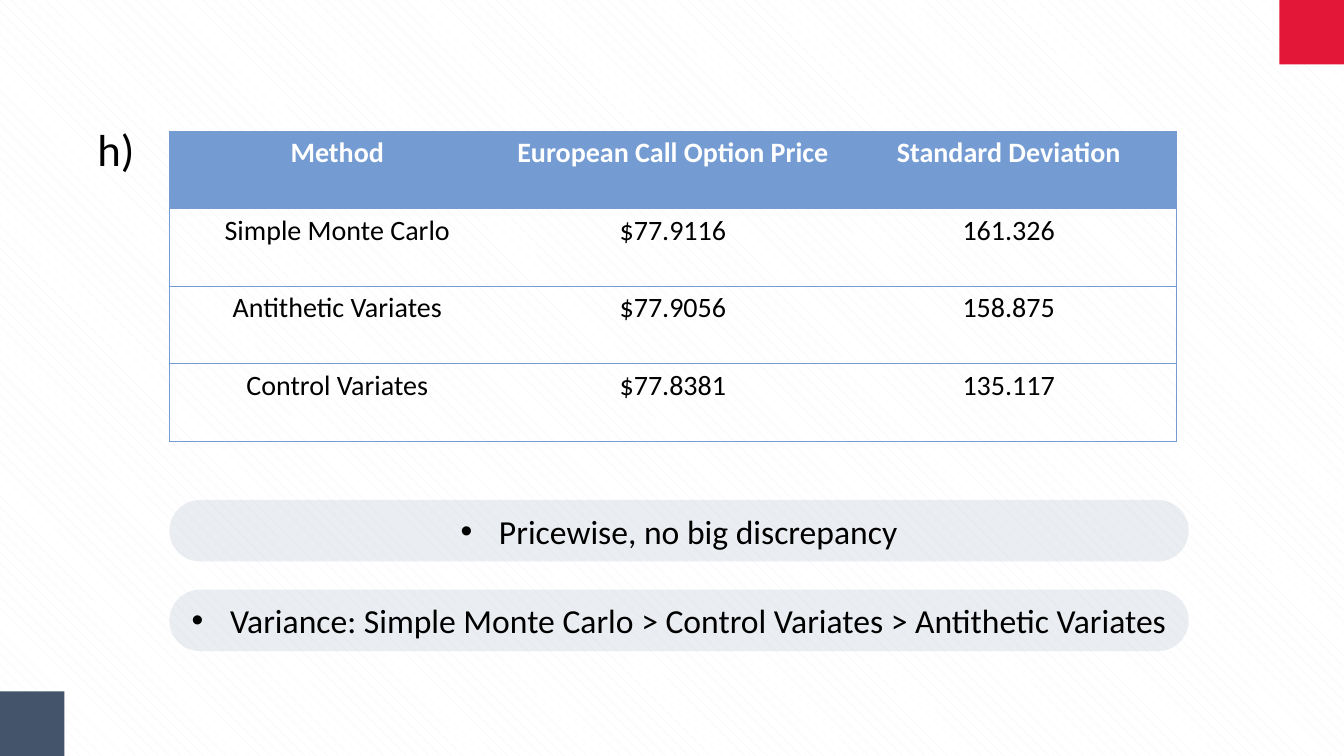
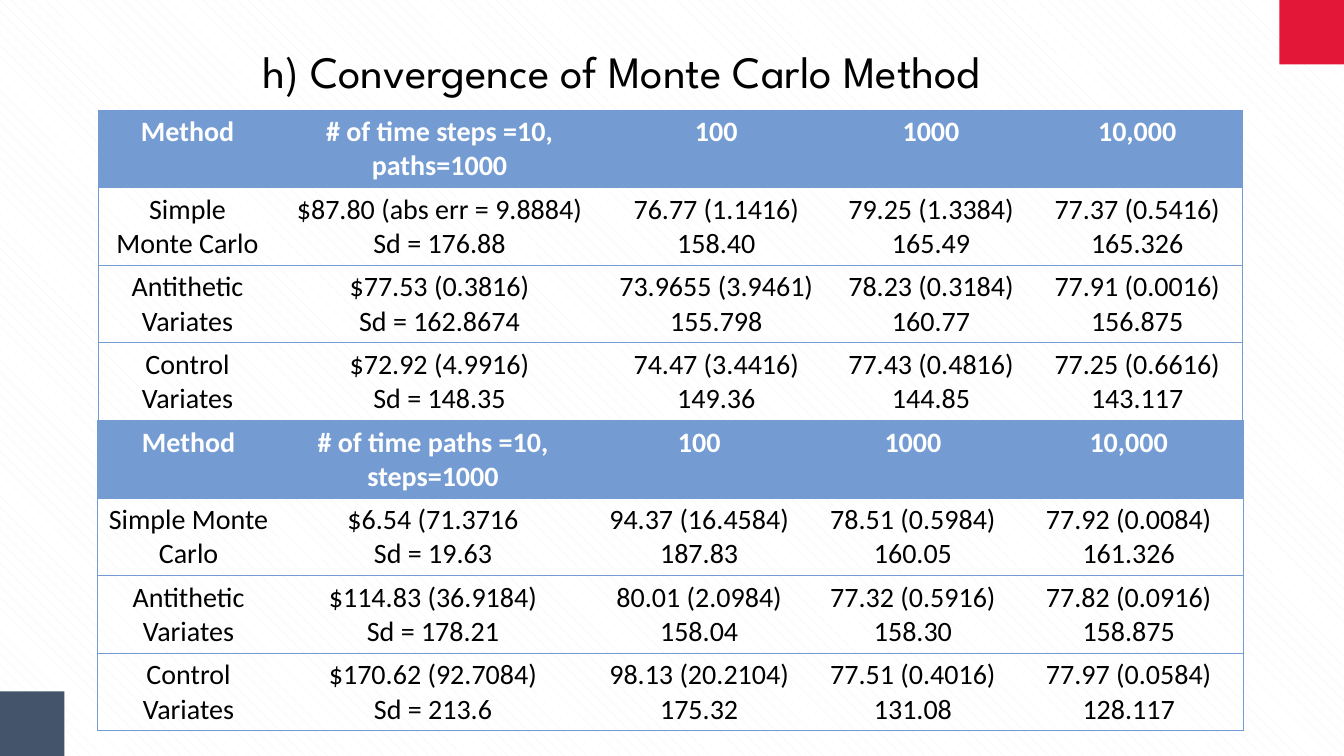
from pptx import Presentation
from pptx.dml.color import RGBColor
from pptx.enum.dml import MSO_PATTERN
from pptx.enum.shapes import MSO_SHAPE
from pptx.enum.text import MSO_ANCHOR, MSO_AUTO_SIZE, PP_ALIGN
from pptx.oxml.ns import qn
from pptx.util import Inches, Pt
from lxml import etree

CENTER = PP_ALIGN.CENTER
MIDDLE = MSO_ANCHOR.MIDDLE
RECTANGLE = MSO_SHAPE.RECTANGLE
ROUNDED = MSO_SHAPE.ROUNDED_RECTANGLE
GROW = MSO_AUTO_SIZE.SHAPE_TO_FIT_TEXT
SHINGLE = MSO_PATTERN.SHINGLE

BLACK = RGBColor(0x00, 0x00, 0x00)
WHITE = RGBColor(0xFF, 0xFF, 0xFF)
HATCH = RGBColor(0xF2, 0xF2, 0xF2)
BLUE = RGBColor(0x74, 0x9C, 0xD3)
RED = RGBColor(0xE3, 0x17, 0x37)
SLATE = RGBColor(0x44, 0x54, 0x6A)
PALE = RGBColor(0xAD, 0xB9, 0xCA)

BODY_FONT = "Calibri"
TITLE_FONT = "League Spartan"
NO_TABLE_STYLE = "{2D5ABB26-0587-4C30-8999-92F81FD0307C}"
ROW_HEIGHT = 0.77
SQUARE = 0.64


def write_text(frame, text, size=20, font=BODY_FONT, color=BLACK, bold=False, bullet=False):
    """Fill a text frame with centred text, one paragraph a line."""
    for index, line in enumerate(text.split("\n")):
        paragraph = frame.add_paragraph() if index else frame.paragraphs[0]
        paragraph.alignment = CENTER
        if bullet:
            properties = paragraph._p.get_or_add_pPr()
            properties.set("marL", str(Inches(0.38)))
            properties.set("indent", str(-Inches(0.38)))
            etree.SubElement(properties, qn("a:buFont"), typeface="Arial")
            etree.SubElement(properties, qn("a:buChar"), char="•")
        run = paragraph.add_run()
        run.text = line
        run.font.size = Pt(size)
        run.font.name = font
        run.font.bold = bold
        run.font.color.rgb = color


def add_result_table(slide, left, top, widths, rows):
    """Table with a blue header, ruled rows and an outer frame."""
    table = slide.shapes.add_table(
        len(rows), len(widths), Inches(left), Inches(top),
        Inches(sum(widths)), Inches(ROW_HEIGHT * len(rows))).table
    table._tbl.tblPr.find(qn("a:tableStyleId")).text = NO_TABLE_STYLE
    table.horz_banding = False
    for column, width in zip(table.columns, widths):
        column.width = Inches(width)
    for row_index, row in enumerate(rows):
        table.rows[row_index].height = Inches(ROW_HEIGHT)
        header = row_index == 0
        for column_index, text in enumerate(row):
            cell = table.cell(row_index, column_index)
            write_text(cell.text_frame, text, color=WHITE if header else BLACK, bold=header)
            sides = ["a:lnT", "a:lnB"]
            if column_index == len(row) - 1:
                sides.insert(0, "a:lnR")
            if column_index == 0:
                sides.insert(0, "a:lnL")
            for side in sides:
                line = etree.SubElement(cell._tc.get_or_add_tcPr(), qn(side), w=str(Pt(0.5)))
                line_fill = etree.SubElement(line, qn("a:solidFill"))
                etree.SubElement(line_fill, qn("a:srgbClr"), val=str(BLUE))
            if header:
                cell.fill.solid()
                cell.fill.fore_color.rgb = BLUE
            else:
                cell.fill.background()


presentation = Presentation()
presentation.slide_width = Inches(13.33)
presentation.slide_height = Inches(7.5)

backdrop = presentation.slide_master.background.fill
backdrop.patterned()
backdrop.pattern = SHINGLE
backdrop.fore_color.rgb = HATCH
backdrop.back_color.rgb = WHITE

# Title, corner squares: common to both slides
TITLES = [
    ("h)", BODY_FONT, 0.83, 1.16, 0.64),
    ("h) Convergence of Monte Carlo Method", TITLE_FONT, 1.62, 0.38, 9.1),
]
CORNERS = [(13.33 - SQUARE, 0, RED), (0, 7.5 - SQUARE, SLATE)]
slides = []
for title, font, left, top, width in TITLES:
    slide = presentation.slides.add_slide(presentation.slide_layouts[6])
    slides.append(slide)
    title_box = slide.shapes.add_textbox(Inches(left), Inches(top), Inches(width), Inches(0.64))
    title_box.text_frame.word_wrap = False
    title_box.text_frame.auto_size = GROW
    write_text(title_box.text_frame, title, size=32, font=font)
    for left, top, color in CORNERS:
        square = slide.shapes.add_shape(
            RECTANGLE, Inches(left), Inches(top), Inches(SQUARE), Inches(SQUARE))
        square.shadow.inherit = False
        square.fill.solid()
        square.fill.fore_color.rgb = color
        square.line.fill.background()
comparison_slide, convergence_slide = slides

# Slide 1: price comparison and findings
add_result_table(comparison_slide, 1.68, 1.3, [3.33] * 3, [
    ("Method", "European Call Option Price", "Standard Deviation"),
    ("Simple Monte Carlo", "$77.9116", "161.326"),
    ("Antithetic Variates", "$77.9056", "158.875"),
    ("Control Variates", "$77.8381", "135.117"),
])

FINDINGS = [
    "Pricewise, no big discrepancy",
    "Variance: Simple Monte Carlo > Control Variates > Antithetic Variates",
]
for index, finding in enumerate(FINDINGS):
    pill = comparison_slide.shapes.add_shape(
        ROUNDED, Inches(1.68), Inches(4.96 + 0.89 * index), Inches(10.11), Inches(0.61))
    pill.adjustments[0] = 0.5
    pill.shadow.inherit = False
    pill.fill.solid()
    pill.fill.fore_color.rgb = PALE
    color_element = pill._element.spPr.find(qn("a:solidFill")).find(qn("a:srgbClr"))
    etree.SubElement(color_element, qn("a:alpha"), val="25000")
    pill.line.fill.background()
    pill.text_frame.word_wrap = True
    pill.text_frame.vertical_anchor = MIDDLE
    write_text(pill.text_frame, finding, size=24, bullet=True)

# Slide 2: convergence by time steps, then by paths
add_result_table(convergence_slide, 0.98, 1.09, [1.76, 3.24, 2.25, 2.01, 2.08], [
    ("Method", "# of time steps =10, paths=1000", "100", "1000", "10,000"),
    ("Simple Monte Carlo", "$87.80 (abs err = 9.8884)\nSd = 176.88",
     "76.77 (1.1416)\n158.40", "79.25 (1.3384)\n165.49", "77.37 (0.5416)\n165.326"),
    ("Antithetic Variates", "$77.53 (0.3816)\nSd = 162.8674",
     "73.9655 (3.9461)\n155.798", "78.23 (0.3184)\n160.77", "77.91 (0.0016)\n156.875"),
    ("Control Variates", "$72.92 (4.9916)\nSd = 148.35",
     "74.47 (3.4416)\n149.36", "77.43 (0.4816)\n144.85", "77.25 (0.6616)\n143.117"),
])
add_result_table(convergence_slide, 0.97, 4.17, [1.8, 3.05, 2.23, 2.01, 2.27], [
    ("Method", "# of time paths =10, steps=1000", "100", "1000", "10,000"),
    ("Simple Monte Carlo", "$6.54 (71.3716\nSd = 19.63",
     "94.37 (16.4584)\n187.83", "78.51 (0.5984)\n160.05", "77.92 (0.0084)\n161.326"),
    ("Antithetic Variates", "$114.83 (36.9184)\nSd = 178.21",
     "80.01 (2.0984)\n158.04", "77.32 (0.5916)\n158.30", "77.82 (0.0916)\n158.875"),
    ("Control Variates", "$170.62 (92.7084)\nSd = 213.6",
     "98.13 (20.2104)\n175.32", "77.51 (0.4016)\n131.08", "77.97 (0.0584)\n128.117"),
])

presentation.save("out.pptx")
